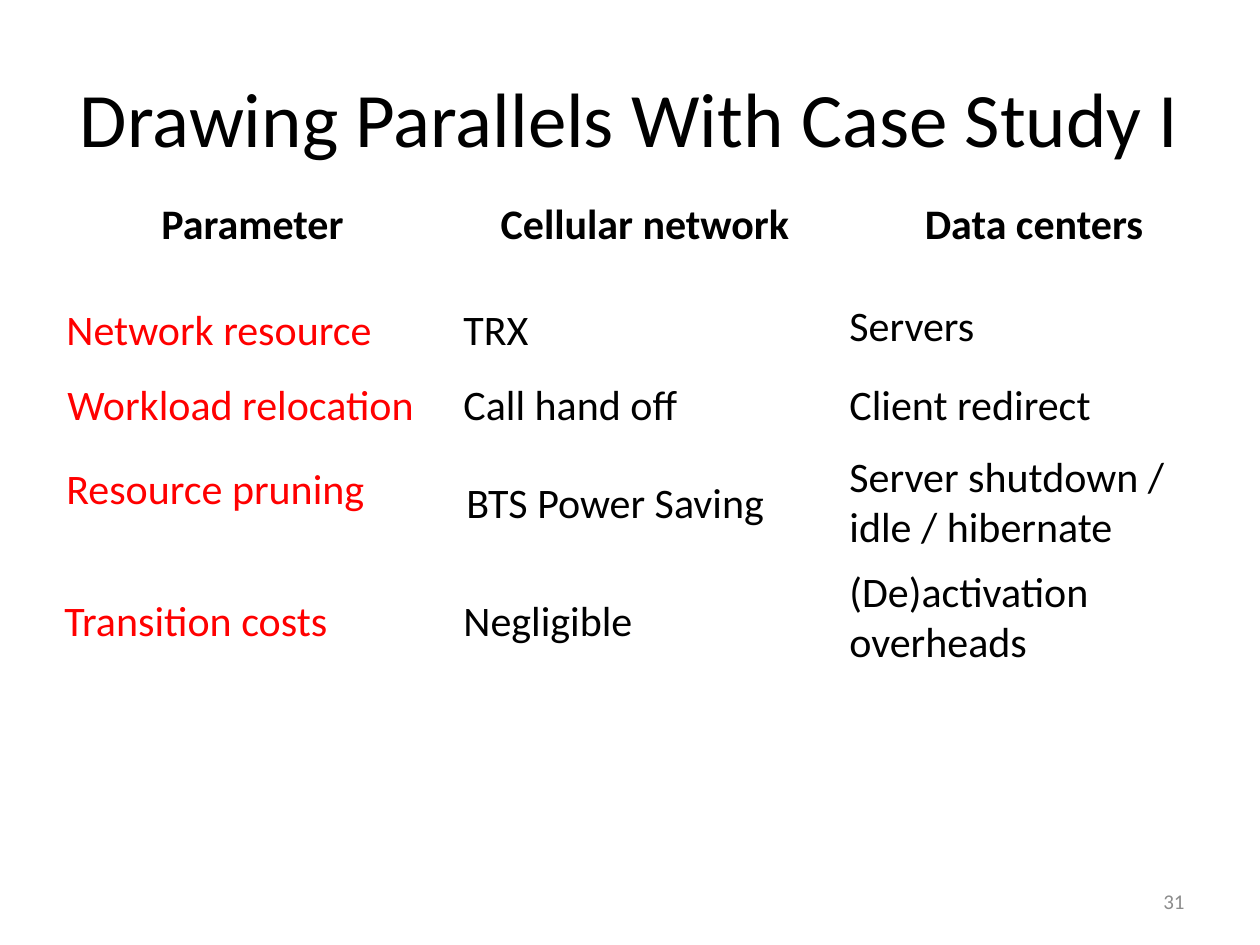
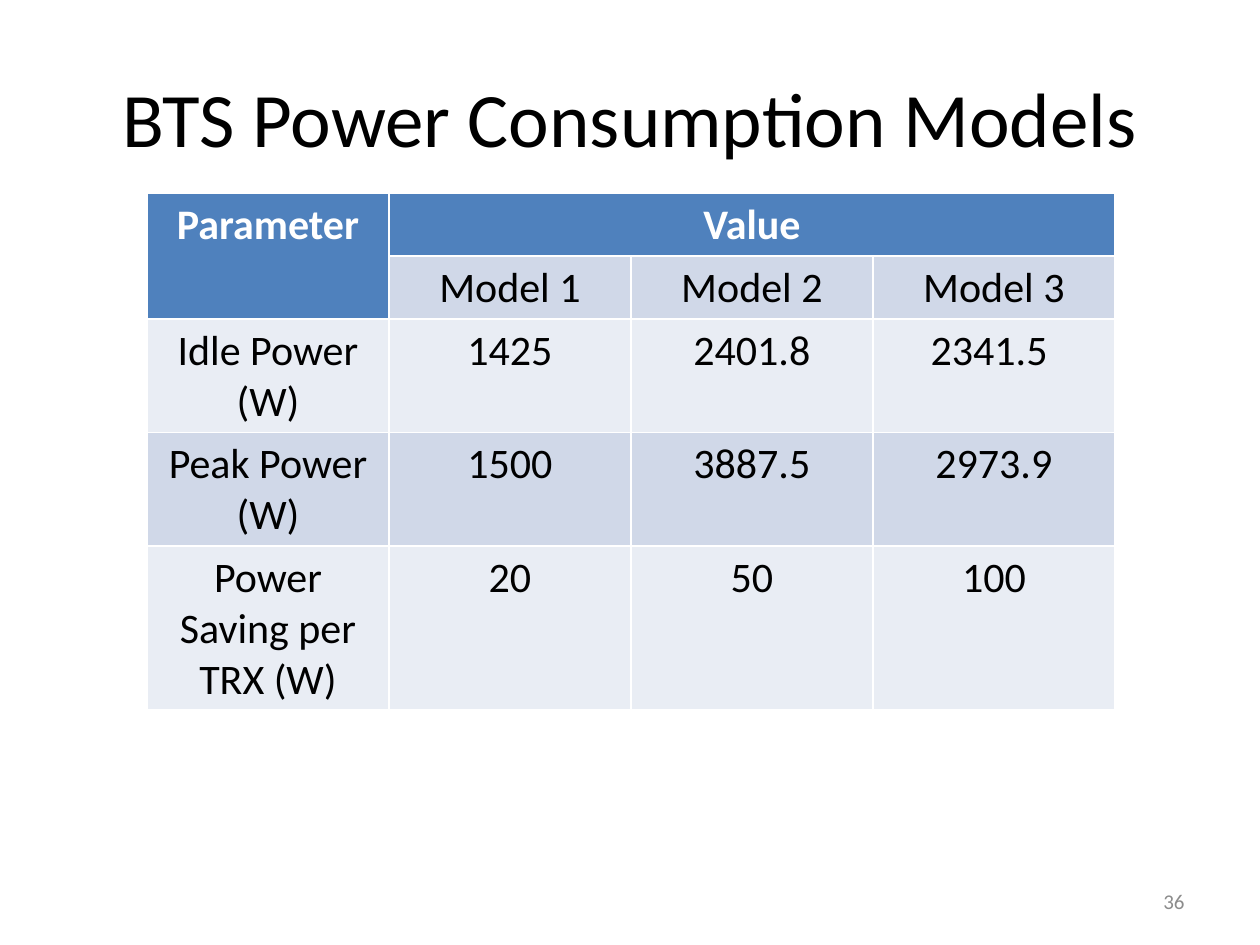
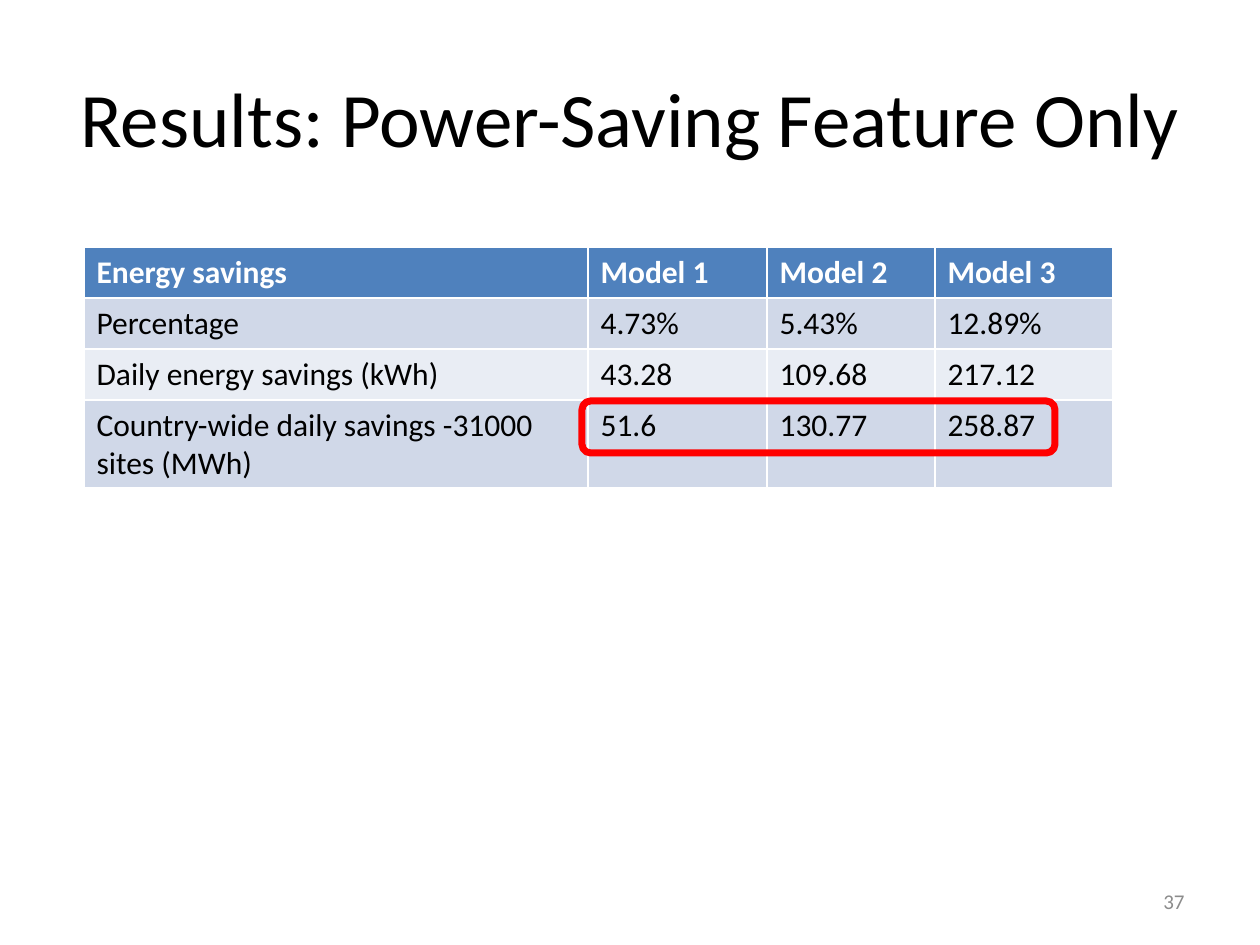
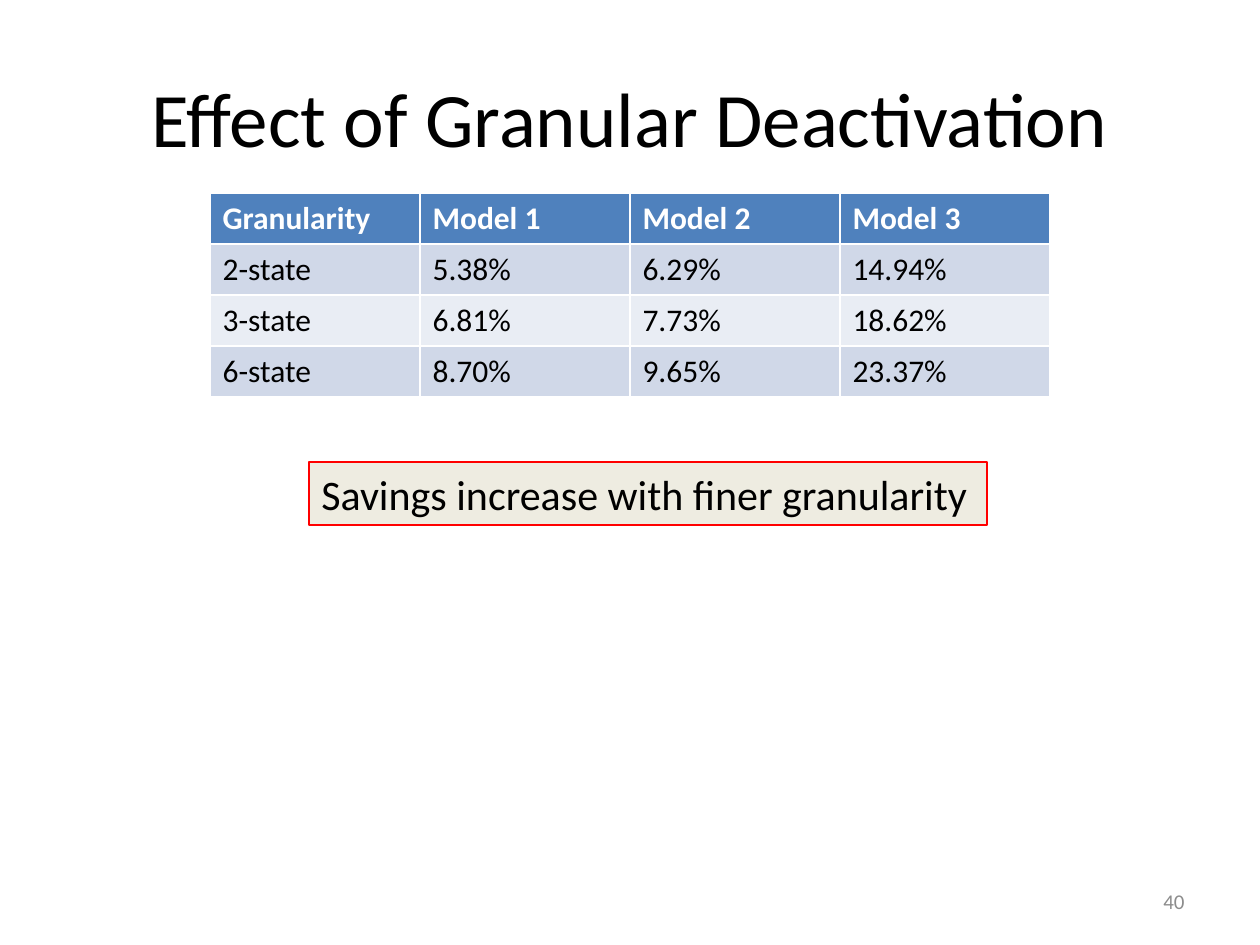
"""Build four slides on power savings in cellular networks."""
from dataclasses import dataclass
from typing import NamedTuple

from pptx import Presentation
from pptx.dml.color import RGBColor as Rgb
from pptx.enum.shapes import MSO_AUTO_SHAPE_TYPE as Kind
from pptx.enum.text import MSO_ANCHOR as Anchor
from pptx.enum.text import MSO_AUTO_SIZE as Auto
from pptx.enum.text import PP_ALIGN as Align
from pptx.oxml.ns import qn
from pptx.shapes.autoshape import Shape
from pptx.slide import Slide
from pptx.text.text import TextFrame
from pptx.util import Emu, Pt


@dataclass(frozen=True)
class Theme:
    """Colours and type sizes shared by the slides."""
    font: str = "Calibri"
    black: str = "000000"
    white: str = "FFFFFF"
    red: str = "FF0000"
    grey: str = "8C8C8C"
    head: str = "4F81BD"
    bands: tuple[str, str] = ("D0D8E8", "E9EDF4")
    sand: str = "EEECE1"
    title: int = 44
    large: int = 24
    small: int = 18
    page: int = 12


class Box(NamedTuple):
    """A place on the slide, in px."""
    x: int
    y: int
    w: int
    h: int


class Label(NamedTuple):
    """A free line of text laid over the plain table."""
    text: str
    box: Box
    tint: str
    wrap: bool = False


class Grid(NamedTuple):
    """A table: place, sizes, text and style."""
    box: Box
    cols: list[int]
    rows: list[int]
    cells: list[list[str]]
    size: int
    align: Align = Align.LEFT
    plain: bool = False
    spans: tuple[tuple[int, int, int, int], ...] = ()


THEME = Theme()
SIZE = Box(0, 0, 1260, 945)
TITLE = Box(63, 38, 1134, 157)
PAGE = Box(903, 876, 294, 50)
LINE = 63
TALL = 115
ROW = 51
NO_STYLE = "{2D5ABB26-0587-4C30-8999-92F81FD0307C}"
MODELS = ["Model 1", "Model 2", "Model 3"]

LABELS = [
    Label("Network resource", Box(54, 297, 334, LINE), THEME.red),
    Label("Workload relocation", Box(55, 372, 375, LINE), THEME.red),
    Label("Resource pruning", Box(54, 456, 326, LINE), THEME.red),
    Label("Transition costs", Box(52, 588, 291, LINE), THEME.red),
    Label("TRX", Box(451, 297, 91, LINE), THEME.black),
    Label("Call hand off", Box(451, 372, 242, LINE), THEME.black),
    Label("Negligible", Box(451, 588, 197, LINE), THEME.black),
    Label("Servers", Box(837, 293, 152, LINE), THEME.black),
    Label("Client redirect", Box(837, 372, 270, LINE), THEME.black),
    Label("Server shutdown / idle / hibernate", Box(837, 444, 382, TALL), THEME.black, True),
    Label("(De)activation overheads", Box(837, 559, 329, TALL), THEME.black, True),
    Label("BTS Power Saving", Box(454, 470, 325, LINE), THEME.black),
]

CASE = Grid(
    Box(53, 193, 1177, 471), [399, 386, 392], [97, 78, 74, 125, 97],
    [["Parameter", "Cellular network", "Data centers"]] + [[""] * 3] * 4,
    THEME.large, Align.CENTER, plain=True)

POWER = Grid(
    Box(147, 193, 966, 517), [242] * 4, [ROW] * 5,
    [["Parameter", "Value", "", ""],
     ["", *MODELS],
     ["Idle Power (W)", "1425", "2401.8", "2341.5 "],
     ["Peak Power (W)", "1500", "3887.5", "2973.9"],
     ["Power Saving per TRX (W)", "20", "50", "100"]],
    THEME.large, Align.CENTER, spans=((0, 0, 1, 0), (0, 1, 0, 3)))

SAVED = Grid(
    Box(84, 247, 1029, 242), [504, 179, 168, 178], [ROW] * 4,
    [["Energy savings", *MODELS],
     ["Percentage", "4.73%", "5.43%", "12.89%"],
     ["Daily energy savings (kWh)", "43.28", "109.68", "217.12"],
     ["Country-wide daily savings -31000 sites (MWh)", "51.6", "130.77", "258.87"]],
    THEME.small)

STATES = Grid(
    Box(210, 193, 840, 204), [210] * 4, [ROW] * 4,
    [["Granularity", *MODELS],
     ["2-state", "5.38%", "6.29%", "14.94%"],
     ["3-state", "6.81%", "7.73%", "18.62%"],
     ["6-state", "8.70%", "9.65%", "23.37%"]],
    THEME.small)


def px(count: int) -> Emu:
    """Turn px into EMU."""
    return Emu(count * 914400 // 126)


def place(box: Box) -> tuple[Emu, ...]:
    """Turn a box into EMU lengths."""
    return tuple(px(side) for side in box)


def write(frame: TextFrame, text: str, size: int, tint: str,
          align: Align = Align.LEFT, bold: bool = False) -> None:
    """Add one styled run to the first paragraph."""
    line = frame.paragraphs[0]
    line.alignment = align
    run = line.add_run()
    run.text = text
    font = run.font
    font.name, font.size, font.bold = THEME.font, Pt(size), bold
    font.color.rgb = Rgb.from_string(tint)


def add_slide(deck: Presentation, title: str, page: int) -> Slide:
    """Add a slide with its title and page number."""
    slide = deck.slides.add_slide(deck.slide_layouts[5])
    head = slide.shapes.title
    head.left, head.top, head.width, head.height = place(TITLE)
    head.text_frame.vertical_anchor = Anchor.MIDDLE
    write(head.text_frame, title, THEME.title, THEME.black, Align.CENTER)
    frame = slide.shapes.add_textbox(*place(PAGE)).text_frame
    frame.word_wrap = True
    frame.vertical_anchor = Anchor.MIDDLE
    write(frame, str(page), THEME.page, THEME.grey, Align.RIGHT)
    return slide


def add_label(slide: Slide, label: Label) -> None:
    """Add a free line of text."""
    frame = slide.shapes.add_textbox(*place(label.box)).text_frame
    frame.word_wrap = label.wrap
    frame.auto_size = Auto.SHAPE_TO_FIT_TEXT
    write(frame, label.text, THEME.large, label.tint)


def add_grid(slide: Slide, grid: Grid) -> None:
    """Add a table with a head row and banded or clear rows."""
    shape = slide.shapes.add_table(len(grid.rows), len(grid.cols), *place(grid.box))
    table = shape.table
    if grid.plain:
        next(shape.element.iter(qn("a:tableStyleId"))).text = NO_STYLE
    for col, wide in zip(table.columns, grid.cols):
        col.width = px(wide)
    for row, high in zip(table.rows, grid.rows):
        row.height = px(high)
    shape.height = px(grid.box.h)
    for top, left, end, right in grid.spans:
        table.cell(top, left).merge(table.cell(end, right))
    for y, texts in enumerate(grid.cells):
        for x, text in enumerate(texts):
            cell = table.cell(y, x)
            if grid.plain:
                cell.fill.background()
            else:
                cell.fill.solid()
                tint = THEME.bands[(y - 1) % 2] if y else THEME.head
                cell.fill.fore_color.rgb = Rgb.from_string(tint)
            if text:
                ink = THEME.black if y or grid.plain else THEME.white
                write(cell.text_frame, text, grid.size, ink, grid.align, y == 0)


def add_frame(slide: Slide, kind: Kind, box: Box, width: float) -> Shape:
    """Add a clear shape with a red line."""
    shape = slide.shapes.add_shape(kind, *place(box))
    shape.shadow.inherit = False
    shape.fill.background()
    shape.line.color.rgb = Rgb.from_string(THEME.red)
    shape.line.width = Pt(width)
    return shape


def add_note(slide: Slide, text: str, box: Box) -> None:
    """Add a sand box with a line of text."""
    shape = add_frame(slide, Kind.RECTANGLE, box, 0.75)
    shape.fill.solid()
    shape.fill.fore_color.rgb = Rgb.from_string(THEME.sand)
    frame = shape.text_frame
    frame.word_wrap = False
    frame.auto_size = Auto.SHAPE_TO_FIT_TEXT
    frame.vertical_anchor = Anchor.TOP
    write(frame, text, THEME.large, THEME.black)


def main() -> None:
    """Build and save the deck."""
    deck = Presentation()
    deck.slide_width, deck.slide_height = px(SIZE.w), px(SIZE.h)

    case = add_slide(deck, "Drawing Parallels With Case Study I", 31)
    add_grid(case, CASE)
    for label in LABELS:
        add_label(case, label)

    power = add_slide(deck, "BTS Power Consumption Models", 36)
    add_grid(power, POWER)

    saved = add_slide(deck, "Results: Power-Saving Feature Only", 37)
    add_grid(saved, SAVED)
    add_frame(saved, Kind.ROUNDED_RECTANGLE, Box(582, 401, 473, 52), 4)

    states = add_slide(deck, "Effect of Granular Deactivation", 40)
    add_grid(states, STATES)
    add_note(states, "Savings increase with finer granularity", Box(309, 462, 678, LINE))

    deck.save("out.pptx")


if __name__ == "__main__":
    main()
